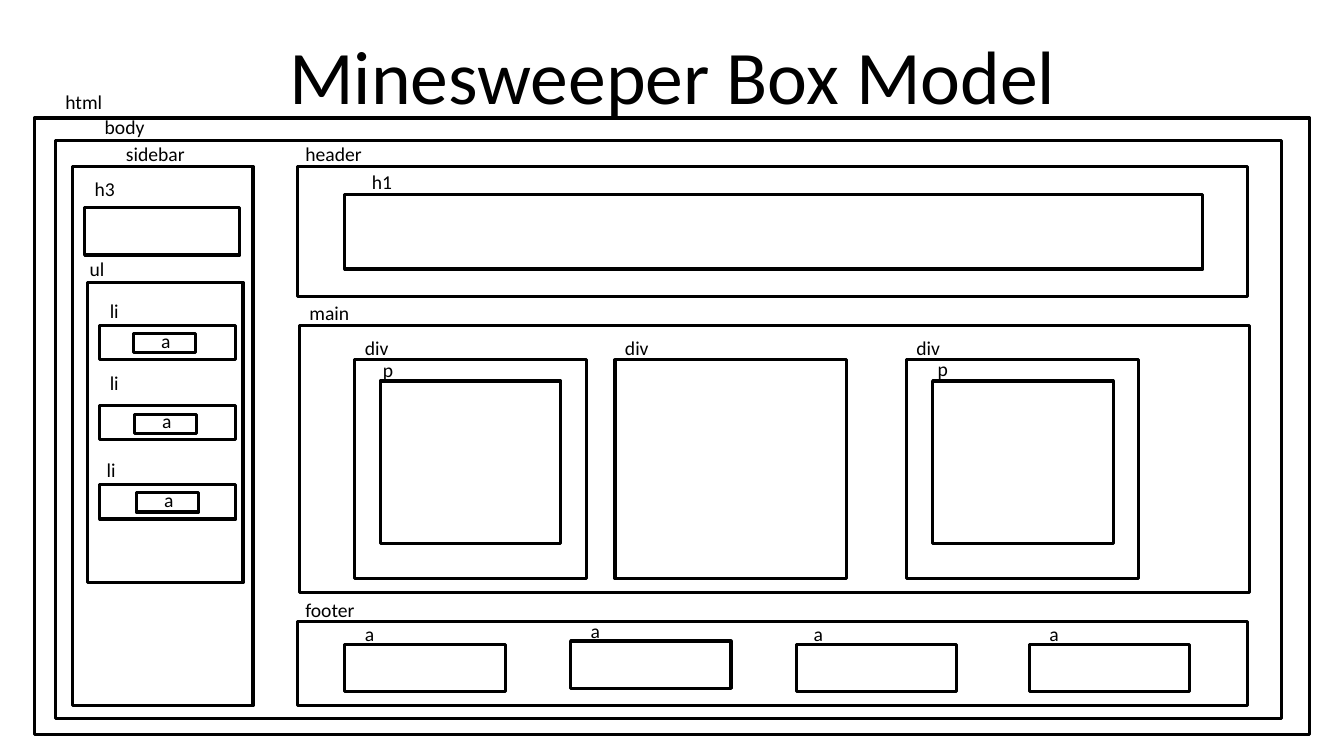
from dataclasses import dataclass

from pptx import Presentation
from pptx.dml.color import RGBColor
from pptx.enum.shapes import MSO_SHAPE
from pptx.enum.text import MSO_ANCHOR, MSO_AUTO_SIZE, PP_ALIGN
from pptx.slide import Slide
from pptx.text.text import TextFrame
from pptx.util import Inches, Pt


@dataclass(frozen=True)
class Theme:
    font: str = "Calibri"
    ink: RGBColor = RGBColor(0, 0, 0)
    title_size: int = 54
    label_size: int = 14
    line_width: float = 2.25


@dataclass(frozen=True)
class Element:
    """A page element: its tag, its outline and where its tag is written."""
    tag: str
    left: float
    top: float
    width: float
    height: float
    label_left: float
    label_top: float
    label_width: float = 0.98


THEME = Theme()
LABEL_HEIGHT = 0.34

PAGE = [
    Element("html", 0.34, 1.17, 12.65, 6.12, 0.55, 0.84, 0.7),
    Element("body", 0.55, 1.39, 12.16, 5.74, 0.94, 1.09, 0.7),
    Element("sidebar", 0.72, 1.65, 1.79, 5.35, 1.15, 1.36),
    Element("header", 2.95, 1.65, 9.42, 1.29, 2.93, 1.36),
    Element("h1", 3.42, 1.93, 8.51, 0.74, 3.59, 1.64),
    Element("main", 2.97, 3.23, 9.42, 2.65, 2.97, 2.94),
    Element("footer", 2.95, 6.17, 9.42, 0.83, 2.93, 5.88),
    Element("h3", 0.84, 2.06, 1.54, 0.47, 0.84, 1.71),
    Element("ul", 0.87, 2.8, 1.54, 2.98, 0.79, 2.5),
]
FOOTER_LINKS = [
    Element("a", left, top, 1.59, 0.47, label_left, top - 0.27)
    for left, top, label_left in [
        (3.42, 6.39, 3.52), (5.66, 6.36, 5.76), (7.9, 6.39, 7.97), (10.21, 6.39, 10.31)]
]
DIVS = [Element("div", left, 3.57, 2.3, 2.17, left, 3.28) for left in (3.52, 6.1, 8.99)]
PARAGRAPHS = [
    Element("p", left, 3.78, 1.79, 1.61, label_left, label_top)
    for left, label_left, label_top in [(3.77, 3.7, 3.5), (9.25, 9.2, 3.49)]
]
LIST_ITEMS = [
    Element("li", 0.99, 3.23 + 0.79 * i, 1.35, 0.34, label_left, label_top)
    for i, (label_left, label_top) in enumerate([(0.99, 2.92), (0.99, 3.63), (0.96, 4.49)])
]
LIST_LINKS = [
    Element("a", left, top, 0.62, 0.19, left + 0.18, top - 0.1, 0.48)
    for left, top in [(1.32, 3.31), (1.33, 4.11), (1.35, 4.89)]
]


def add_text(slide: Slide, text: str, left: float, top: float,
             width: float, height: float, size: int) -> TextFrame:
    tf = slide.shapes.add_textbox(
        Inches(left), Inches(top), Inches(width), Inches(height)).text_frame
    tf.word_wrap = True
    r = tf.paragraphs[0].add_run()
    r.text = text
    r.font.name = THEME.font
    r.font.size = Pt(size)
    r.font.color.rgb = THEME.ink
    return tf


def add_title(slide: Slide, text: str) -> None:
    tf = add_text(slide, text, 1.67, 0.37, 10, 0.88, THEME.title_size)
    tf.vertical_anchor = MSO_ANCHOR.BOTTOM
    p = tf.paragraphs[0]
    p.alignment = PP_ALIGN.CENTER
    p.line_spacing = 0.9


def add_element(slide: Slide, element: Element) -> None:
    sp = slide.shapes.add_shape(
        MSO_SHAPE.RECTANGLE, Inches(element.left), Inches(element.top),
        Inches(element.width), Inches(element.height))
    sp.shadow.inherit = False
    sp.fill.background()
    sp.line.color.rgb = THEME.ink
    sp.line.width = Pt(THEME.line_width)
    tf = add_text(slide, element.tag, element.label_left, element.label_top,
                  element.label_width, LABEL_HEIGHT, THEME.label_size)
    tf.auto_size = MSO_AUTO_SIZE.SHAPE_TO_FIT_TEXT


def main() -> None:
    prs = Presentation()
    prs.slide_width = Inches(13.33)
    prs.slide_height = Inches(7.5)
    s = prs.slides.add_slide(prs.slide_layouts[6])
    add_title(s, "Minesweeper Box Model")
    for element in PAGE + FOOTER_LINKS + DIVS + PARAGRAPHS + LIST_ITEMS + LIST_LINKS:
        add_element(s, element)
    prs.save("out.pptx")


if __name__ == "__main__":
    main()
